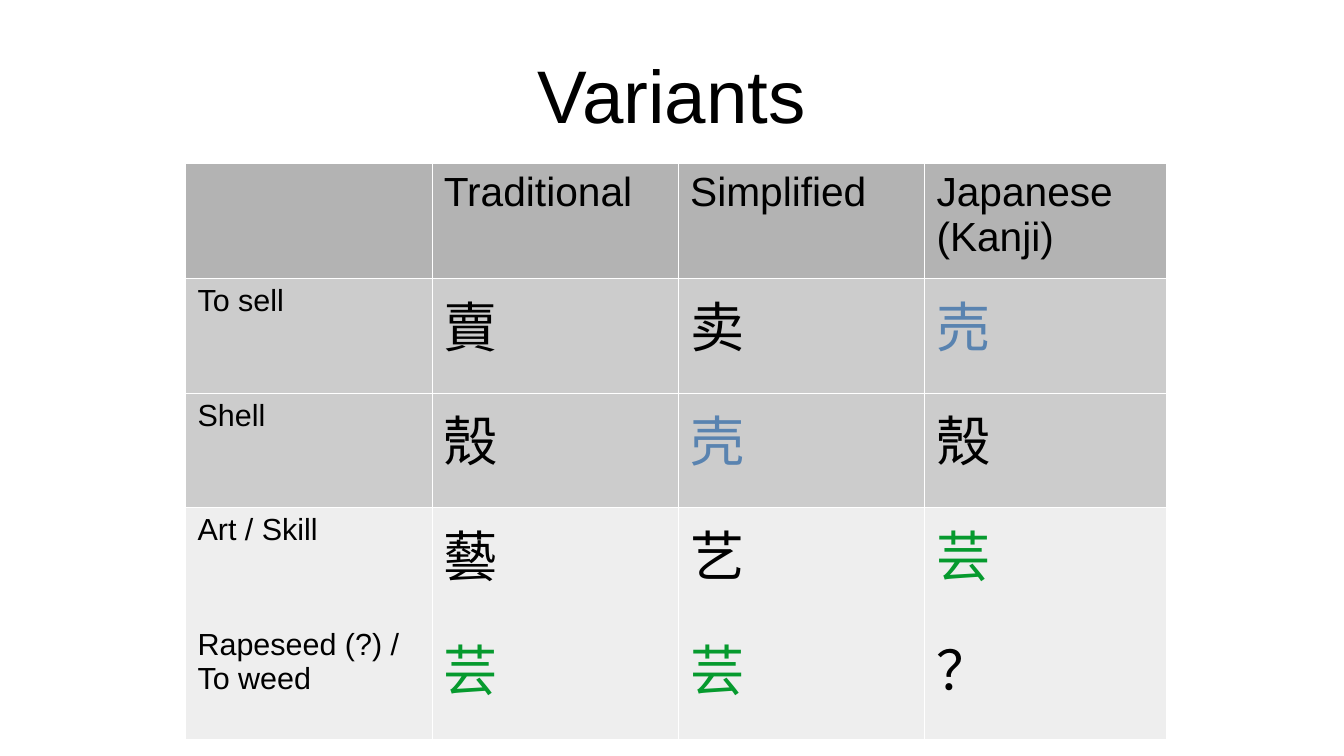
from dataclasses import dataclass

import pptx
import pptx.dml.color
import pptx.enum.text
import pptx.oxml
import pptx.oxml.ns
import pptx.util

Pt = pptx.util.Pt
RGBColor = pptx.dml.color.RGBColor

BLACK = RGBColor(0x00, 0x00, 0x00)
BLUE = RGBColor(0x59, 0x83, 0xB0)
GREEN = RGBColor(0x06, 0x9A, 0x2E)
WHITE = RGBColor(0xFF, 0xFF, 0xFF)
HEADER_GRAY = RGBColor(0xB3, 0xB3, 0xB3)
MID_GRAY = RGBColor(0xCC, 0xCC, 0xCC)
LIGHT_GRAY = RGBColor(0xEE, 0xEE, 0xEE)

LATIN = "Arial"
CJK = "Noto Sans CJK SC"
COLUMN_WIDTHS = [145.44] * 3 + [142.56]
ROW_HEIGHTS = [67.68] * 4 + [69.12]
RULE_WIDTH = 0.06
GLYPH_COLORS = {"売": BLUE, "壳": BLUE, "芸": GREEN}


@dataclass
class Variant:
    meaning: str
    glyphs: str
    fill: RGBColor


HEADERS = ["", "Traditional", "Simplified", "Japanese (Kanji)"]
VARIANTS = [
    Variant("To sell", "賣卖売", MID_GRAY),
    Variant("Shell", "殼壳殼", MID_GRAY),
    Variant("Art / Skill", "藝艺芸", LIGHT_GRAY),
    Variant("Rapeseed (?) /\nTo weed", "芸芸？", LIGHT_GRAY),
]


def write_text(tf, text: str, *, size: float, font: str = LATIN,
               color: RGBColor = BLACK, align=pptx.enum.text.PP_ALIGN.LEFT) -> None:
    for i, line in enumerate(text.split("\n")):
        p = tf.add_paragraph() if i else tf.paragraphs[0]
        p.alignment = align
        if not line:
            continue
        r = p.add_run()
        r.text = line
        r.font.size = Pt(size)
        r.font.name = font
        r.font.color.rgb = color
        ea = pptx.oxml.parse_xml(f'<a:ea {pptx.oxml.ns.nsdecls("a")} typeface="{font}"/>')
        r.font._element.append(ea)


def set_borders(cell, top: bool, bottom: bool) -> None:
    tc_pr = cell._tc.get_or_add_tcPr()
    for side, shown in (("L", True), ("R", True), ("T", top), ("B", bottom)):
        paint = f'<a:solidFill><a:srgbClr val="{WHITE}"/></a:solidFill>' if shown else "<a:noFill/>"
        tc_pr.append(pptx.oxml.parse_xml(
            f'<a:ln{side} {pptx.oxml.ns.nsdecls("a")} w="{Pt(RULE_WIDTH)}">{paint}</a:ln{side}>'))


def style_cell(cell, fill: RGBColor, top: bool, bottom: bool) -> None:
    cell.margin_left = cell.margin_right = Pt(7.2)
    cell.margin_top = cell.margin_bottom = Pt(3.6)
    set_borders(cell, top, bottom)
    cell.fill.solid()
    cell.fill.fore_color.rgb = fill


def add_title(s, text: str) -> None:
    tf = s.shapes.add_textbox(Pt(39.6), Pt(28.8), Pt(714.24), Pt(52.56)).text_frame
    tf.word_wrap = True
    tf.margin_left = tf.margin_top = tf.margin_right = tf.margin_bottom = 0
    tf.vertical_anchor = pptx.enum.text.MSO_ANCHOR.MIDDLE
    write_text(tf, text, size=44, align=pptx.enum.text.PP_ALIGN.CENTER)


def add_variant_table(s) -> None:
    table = s.shapes.add_table(
        len(ROW_HEIGHTS), len(COLUMN_WIDTHS), Pt(109.44), Pt(96.48),
        Pt(sum(COLUMN_WIDTHS)), Pt(sum(ROW_HEIGHTS))).table
    table.first_row = table.horz_banding = False
    for column, width in zip(table.columns, COLUMN_WIDTHS):
        column.width = Pt(width)
    for row, height in zip(table.rows, ROW_HEIGHTS):
        row.height = Pt(height)

    for cell, text in zip(table.rows[0].cells, HEADERS):
        style_cell(cell, HEADER_GRAY, True, True)
        write_text(cell.text_frame, text, size=24)

    for i, variant in enumerate(VARIANTS, start=1):
        cells = list(table.rows[i].cells)
        for cell in cells:
            style_cell(cell, variant.fill, i <= 3, i != 3)
        write_text(cells[0].text_frame, variant.meaning, size=18)
        for cell, glyph in zip(cells[1:], variant.glyphs):
            write_text(cell.text_frame, glyph, size=32, font=CJK,
                       color=GLYPH_COLORS.get(glyph, BLACK))


def main() -> None:
    prs = pptx.Presentation()
    prs.slide_width, prs.slide_height = Pt(793.44), Pt(446.4)
    s = prs.slides.add_slide(prs.slide_layouts[6])
    add_title(s, "Variants")
    add_variant_table(s)
    prs.save("out.pptx")


if __name__ == "__main__":
    main()
